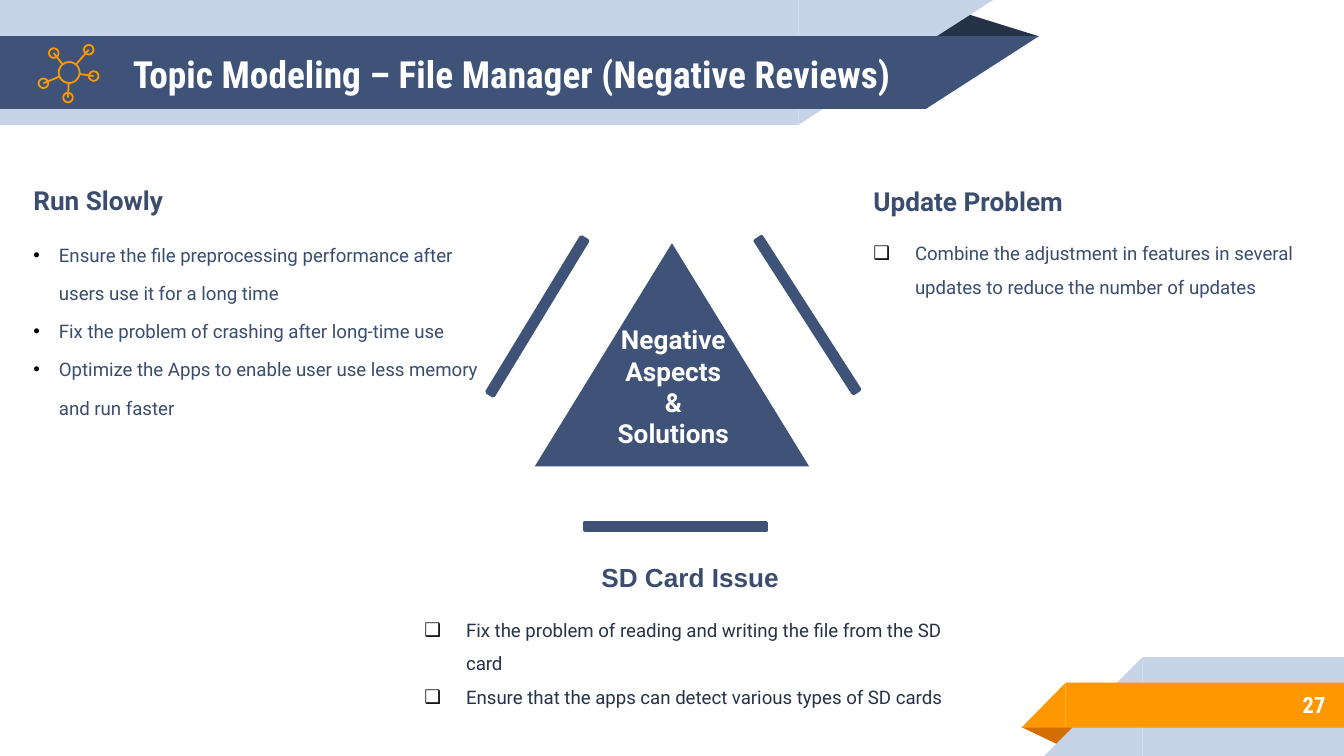
import math
from dataclasses import dataclass
from typing import Optional

from lxml import etree
from pptx import Presentation
from pptx import util as u
from pptx.dml.color import RGBColor
from pptx.enum import shapes, text
from pptx.oxml.ns import qn

COLUMNS, ROWS = 100, 56.25
CELL = u.Inches(10) / COLUMNS
RECTANGLE = shapes.MSO_SHAPE.RECTANGLE
CORNER = shapes.MSO_SHAPE.RIGHT_TRIANGLE
TRIANGLE = shapes.MSO_SHAPE.ISOSCELES_TRIANGLE
OVAL = shapes.MSO_SHAPE.OVAL
LEFT, CENTER, RIGHT = text.PP_ALIGN.LEFT, text.PP_ALIGN.CENTER, text.PP_ALIGN.RIGHT


@dataclass(frozen=True)
class Theme:
    navy: str = "3F5378"
    ink: str = "3B4D6F"
    night: str = "263248"
    mist: str = "C7D3E6"
    orange: str = "FF9800"
    rust: str = "D26F00"
    white: str = "FFFFFF"
    black: str = "000000"
    body_font: str = "Roboto"
    title_font: str = "Roboto Condensed"
    plain_font: str = "Arial"
    title: float = 20
    heading: float = 14
    number: float = 12
    body: float = 10
    icon_line: float = 0.96
    bar_line: float = 2


THEME = Theme()


@dataclass(frozen=True)
class Box:
    column: float
    row: float
    columns: float
    rows: float

    def emu(self) -> list[int]:
        return [round(v * CELL) for v in (self.column, self.row, self.columns, self.rows)]


@dataclass(frozen=True)
class Piece:
    kind: shapes.MSO_SHAPE
    box: Box
    fill: Optional[str]
    flip: str = ""
    rotation: float = 0
    apex: Optional[float] = None
    line: Optional[str] = None
    line_width: float = 0


@dataclass(frozen=True)
class Style:
    size: float
    color: str
    font: str = THEME.body_font
    bold: bool = True
    align: text.PP_ALIGN = LEFT
    spacing: Optional[float] = None
    bullet: str = ""
    indent: float = 0


@dataclass(frozen=True)
class TextBlock:
    box: Box
    lines: tuple[str, ...]
    style: Style
    middle: bool = False


@dataclass(frozen=True)
class Node:
    column: float
    row: float
    radius: float = 0.36


def bar(box: Box, rotation: float) -> Piece:
    return Piece(RECTANGLE, box, THEME.navy, rotation=rotation,
                 line=THEME.navy, line_width=THEME.bar_line)


BANNERS = (
    Piece(TRIANGLE, Box(68.8, 0.9, 8.5, 1.8), THEME.night, apex=0.32),
    Piece(RECTANGLE, Box(0, 0, 59.4, 9.3), THEME.mist),
    Piece(CORNER, Box(59.4, 0, 14.5, 9.3), THEME.mist, flip="flipV"),
    Piece(RECTANGLE, Box(0, 2.7, 68.9, 5.4), THEME.navy),
    Piece(CORNER, Box(68.9, 2.7, 8.4, 5.4), THEME.navy, flip="flipV"),
    Piece(TRIANGLE, Box(76, 54.1, 4.3, 1.4), THEME.rust, rotation=180, apex=0.32),
    Piece(RECTANGLE, Box(85, 48.9, 15, 7.35), THEME.mist),
    Piece(CORNER, Box(77.7, 48.9, 7.3, 7.35), THEME.mist, flip="flipH"),
    Piece(RECTANGLE, Box(79.3, 50.8, 20.7, 3.35), THEME.orange),
    Piece(CORNER, Box(76, 50.8, 3.3, 3.35), THEME.orange, flip="flipH"),
)

HUB = Node(5.15, 5.4, 0.78)
NODES = (Node(6.6, 3.7), Node(4, 3.95), Node(3.23, 6.2), Node(5.06, 7.26), Node(6.97, 5.66))

CENTERPIECE = (
    Piece(TRIANGLE, Box(39.8, 18.1, 20.4, 16.6), THEME.navy),
    bar(Box(39.7, 16.8, 0.55, 13.5), 31.3),
    bar(Box(59.8, 16.7, 0.55, 13.5), 147.3),
    bar(Box(50, 32.4, 0.55, 13.5), 90),
)

HEADING = Style(THEME.heading, THEME.ink)
ROUND_LIST = Style(THEME.body, THEME.ink, bold=False, spacing=1.7, bullet="•", indent=1.9)
BOX_LIST = Style(THEME.body, THEME.ink, bold=False, spacing=1.5, bullet="❑", indent=3.1)
DARK_LIST = Style(THEME.body, THEME.night, bold=False, spacing=1.5, bullet="❑", indent=3.1)

TEXTS = (
    TextBlock(Box(8.9, 2.7, 64, 5.6), ("Topic Modeling – File Manager (Negative Reviews)",),
              Style(THEME.title, THEME.white, THEME.title_font), middle=True),
    TextBlock(Box(83.3, 50.7, 16.3, 3.5), ("27",),
              Style(THEME.number, THEME.white, THEME.title_font, align=RIGHT), middle=True),
    TextBlock(Box(1.5, 13.2, 28.8, 5.7), ("Run Slowly",), HEADING),
    TextBlock(Box(1.5, 16.5, 36.5, 15), (
        "Ensure the file preprocessing performance after users use it for a long time",
        "Fix the problem of crashing after long-time use",
        "Optimize the Apps to enable user use less memory and run faster",
    ), ROUND_LIST),
    TextBlock(Box(64, 13.3, 36.5, 3.4), ("Update Problem",), HEADING),
    TextBlock(Box(64, 16.7, 36.5, 5.8), (
        "Combine the adjustment in features in several updates to reduce the number of updates",
    ), BOX_LIST),
    TextBlock(Box(32.9, 41.3, 36.9, 3.4), ("SD Card Issue",),
              Style(THEME.heading, THEME.ink, THEME.plain_font, align=CENTER)),
    TextBlock(Box(30.6, 44.7, 41.6, 10.8), (
        "Fix the problem of reading and writing the file from the SD card",
        "Ensure that the apps can detect various types of SD cards",
    ), DARK_LIST),
    TextBlock(Box(43.4, 23.6, 13.4, 10.4), ("Negative", "Aspects", "&", "Solutions"),
              Style(THEME.heading, THEME.white, align=CENTER)),
)


def draw_piece(slide, piece: Piece) -> None:
    shape = slide.shapes.add_shape(piece.kind, *piece.box.emu())
    shape.shadow.inherit = False
    shape.rotation = piece.rotation
    if piece.apex is not None:
        shape.adjustments[0] = piece.apex
    if piece.flip:
        shape._element.spPr.find(qn("a:xfrm")).set(piece.flip, "1")
    if piece.fill:
        shape.fill.solid()
        shape.fill.fore_color.rgb = RGBColor.from_string(piece.fill)
    else:
        shape.fill.background()
    if piece.line:
        shape.line.color.rgb = RGBColor.from_string(piece.line)
        shape.line.width = u.Pt(piece.line_width)
    else:
        shape.line.fill.background()


def draw_icon(slide, hub: Node, nodes: tuple[Node, ...]) -> None:
    for node in (*nodes, hub):
        box = Box(node.column - node.radius, node.row - node.radius,
                  2 * node.radius, 2 * node.radius)
        draw_piece(slide, Piece(OVAL, box, None, line=THEME.orange, line_width=THEME.icon_line))
    for node in nodes:
        across, down = node.column - hub.column, node.row - hub.row
        share = hub.radius / math.hypot(across, down)
        ends = (hub.column + across * share, hub.row + down * share, node.column, node.row)
        spoke = slide.shapes.add_connector(
            shapes.MSO_CONNECTOR.STRAIGHT, *(round(end * CELL) for end in ends))
        spoke.line.color.rgb = RGBColor.from_string(THEME.orange)
        spoke.line.width = u.Pt(THEME.icon_line)
        etree.SubElement(spoke._element.spPr, qn("a:effectLst"))


def add_bullet(paragraph, style: Style) -> None:
    properties = paragraph._p.get_or_add_pPr()
    indent = round(style.indent * CELL)
    properties.set("marL", str(indent))
    properties.set("indent", str(-indent))
    color = etree.SubElement(properties, qn("a:buClr"))
    etree.SubElement(color, qn("a:srgbClr"), val=THEME.black)
    etree.SubElement(properties, qn("a:buFont"), typeface=THEME.plain_font)
    etree.SubElement(properties, qn("a:buChar"), char=style.bullet)


def draw_text(slide, block: TextBlock) -> None:
    frame = slide.shapes.add_textbox(*block.box.emu()).text_frame
    frame.word_wrap = True
    if block.middle:
        frame.vertical_anchor = text.MSO_ANCHOR.MIDDLE
        frame.margin_top = frame.margin_bottom = u.Inches(0.1)
    style = block.style
    for index, line in enumerate(block.lines):
        paragraph = frame.add_paragraph() if index else frame.paragraphs[0]
        paragraph.text = line
        if style.bullet:
            add_bullet(paragraph, style)
        paragraph.alignment = style.align
        paragraph.line_spacing = style.spacing
        paragraph.font.name = style.font
        paragraph.font.size = u.Pt(style.size)
        paragraph.font.bold = style.bold
        paragraph.font.color.rgb = RGBColor.from_string(style.color)


def main() -> None:
    presentation = Presentation()
    presentation.slide_width = round(COLUMNS * CELL)
    presentation.slide_height = round(ROWS * CELL)
    slide = presentation.slides.add_slide(presentation.slide_layouts[6])
    for piece in (*BANNERS, *CENTERPIECE):
        draw_piece(slide, piece)
    draw_icon(slide, HUB, NODES)
    for block in TEXTS:
        draw_text(slide, block)
    presentation.save("out.pptx")


if __name__ == "__main__":
    main()
